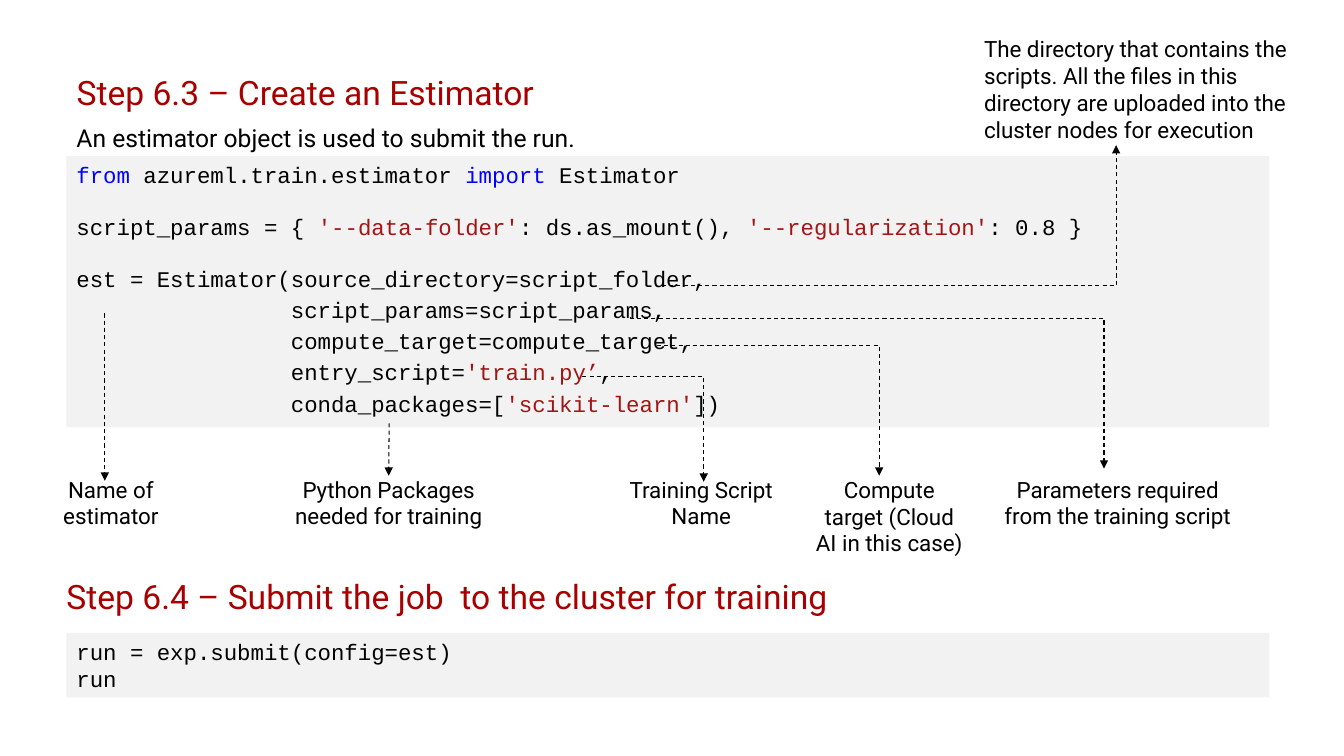
from lxml.etree import SubElement
from pptx import Presentation
from pptx.dml.color import RGBColor
from pptx.enum.dml import MSO_LINE
from pptx.enum.shapes import MSO_CONNECTOR as Link, MSO_SHAPE
from pptx.enum.text import MSO_ANCHOR, MSO_AUTO_SIZE, PP_ALIGN
from pptx.oxml.ns import qn
from pptx.util import Inches, Pt

COLORS = {"text": "000000", "heading": "A80000", "panel": "F2F2F2",
          "keyword": "0101FD", "string": "A31515"}
BODY, CODE = "Roboto", "Courier New"
INDENT = " " * 16

TITLE = "Step 6.3 – Create an Estimator"
INTRO = "An estimator object is used to submit the run."
SUBMIT_HEADING = "Step 6.4 – Submit the job  to the cluster for training"

# Each line: space before, space after, then (text, colour) spans
ESTIMATOR_CODE = [
    (0, 0, [("from ", "keyword"), ("azureml.train.estimator ", "text"),
            ("import", "keyword"), (" Estimator", "text")]),
    (18, 0, [("script_params = { ", "text"), ("'--data-folder'", "string"),
             (": ds.as_mount(), ", "text"), ("'--regularization'", "string"),
             (": 0.8 }", "text")]),
    (18, 3, [("est = Estimator(source_directory=script_folder,", "text")]),
    (0, 3, [(INDENT + "script_params=script_params,", "text")]),
    (0, 3, [(INDENT + "compute_target=compute_target,", "text")]),
    (0, 3, [(INDENT + "entry_script=", "text"), ("'train.py’", "string"), (",", "text")]),
    (0, 3, [(INDENT + "conda_packages=[", "text"), ("'scikit-learn'", "string"),
            ("])", "text")]),
]
SUBMIT_CODE = [
    (0, 0, [("run = exp.submit(config=est)", "text")]),
    (0, 0, [("run", "text")]),
]

# Label, its frame (left, top, width, height), alignment, arrow start, arrow end
CALLOUTS = [
    ("Name of estimator", (0.37, 4.72, 1.46, 0.54), PP_ALIGN.CENTER,
     (1.04, 3.11), (1.04, 4.77)),
    ("Python Packages needed for training", (2.88, 4.72, 1.95, 0.54), PP_ALIGN.CENTER,
     (3.86, 4.2), (3.86, 4.7)),
    ("Training Script Name", (5.98, 4.72, 1.95, 0.54), PP_ALIGN.CENTER,
     (5.78, 3.73), (6.98, 4.78)),
    ("Compute target (Cloud AI in this case)", (8.06, 4.72, 1.52, 0.81), PP_ALIGN.CENTER,
     (6.52, 3.42), (8.72, 4.72)),
    ("Parameters required from the training script", (9.95, 4.72, 2.27, 0.54),
     PP_ALIGN.CENTER, (6.25, 3.15), (10.95, 4.65)),
    ("The directory that contains the scripts. All the files in this directory are "
     "uploaded into the cluster nodes for execution", (9.76, 0.35, 3.04, 1.08),
     PP_ALIGN.LEFT, (6.57, 2.84), (11.07, 1.44)),
]


def color(name):
    return RGBColor.from_string(COLORS[name])


def inches(values):
    return [Inches(value) for value in values]


def write_text(box, text, size, tint="text", align=PP_ALIGN.LEFT, inset=0, spacing=1.0):
    frame = box.text_frame
    frame.word_wrap = True
    frame.auto_size = MSO_AUTO_SIZE.NONE
    frame.vertical_anchor = MSO_ANCHOR.TOP
    frame.margin_left = frame.margin_right = Inches(inset)
    frame.margin_top = frame.margin_bottom = Inches(inset / 2)
    frame.text = text
    para = frame.paragraphs[0]
    para.alignment = align
    para.line_spacing = spacing
    para.font.name, para.font.size = BODY, Pt(size)
    para.font.color.rgb = color(tint)


def add_code(page, place, lines):
    panel = page.shapes.add_shape(MSO_SHAPE.RECTANGLE, *inches(place))
    panel.shadow.inherit = False
    panel.fill.solid()
    panel.fill.fore_color.rgb = color("panel")
    panel.line.fill.background()
    frame = panel.text_frame
    frame.word_wrap = True
    frame.vertical_anchor = MSO_ANCHOR.TOP
    for number, (before, after, spans) in enumerate(lines):
        para = frame.add_paragraph() if number else frame.paragraphs[0]
        para.alignment = PP_ALIGN.LEFT
        para.space_before, para.space_after = Pt(before), Pt(after)
        para.font.name, para.font.size = CODE, Pt(16)
        for text, tint in spans:
            span = para.add_run()
            span.text = text
            span.font.color.rgb = color(tint)


def add_elbow(page, start, end):
    """Runs across first, then up or down: a bent connector turned a quarter."""
    (x1, y1), (x2, y2) = start, end
    mid_x, mid_y = (x1 + x2) / 2, (y1 + y2) / 2
    half_w, half_h = abs(y2 - y1) / 2, (x2 - x1) / 2
    down = y2 > y1
    if not down:
        half_h = -half_h
    arrow = page.shapes.add_connector(Link.ELBOW, *inches(
        (mid_x + half_w, mid_y - half_h, mid_x - half_w, mid_y + half_h)))
    props = arrow._element.spPr
    props.find(qn("a:xfrm")).set("rot", "16200000" if down else "5400000")
    geometry = props.find(qn("a:prstGeom"))
    guides = geometry.find(qn("a:avLst"))
    if guides is None:
        guides = SubElement(geometry, qn("a:avLst"))
    SubElement(guides, qn("a:gd"), name="adj1", fmla="val 400")
    return arrow


def add_callout(page, text, place, align, start, end):
    label = page.shapes.add_textbox(*inches(place))
    write_text(label, text, 16, align=align)
    if start[0] == end[0]:
        arrow = page.shapes.add_connector(Link.STRAIGHT, *inches(start + end))
        left, top, width, _ = place
        if abs(left + width / 2 - end[0]) < 0.03:
            arrow.end_connect(label, 0)
    else:
        arrow = add_elbow(page, start, end)
    arrow.line.color.rgb = color("text")
    arrow.line.width = Pt(0.75)
    arrow.line.dash_style = MSO_LINE.DASH
    SubElement(arrow.line._get_or_add_ln(), qn("a:tailEnd"), type="triangle")
    SubElement(arrow._element.spPr, qn("a:effectLst"))


def main():
    deck = Presentation()
    deck.slide_width, deck.slide_height = Inches(13.33), Inches(7.5)
    page = deck.slides.add_slide(deck.slide_layouts[5])

    title = page.shapes.title
    title.left, title.top, title.width, title.height = inches((0.76, 0.76, 11.46, 0.36))
    write_text(title, TITLE, 24, "heading", spacing=0.9)
    intro = page.shapes.add_textbox(*inches((0.66, 1.17, 5.18, 0.4)))
    write_text(intro, INTRO, 17.6, inset=0.1)

    add_code(page, (0.66, 1.55, 11.93, 2.69), ESTIMATOR_CODE)
    for callout in CALLOUTS:
        add_callout(page, *callout)

    heading = page.shapes.add_textbox(*inches((0.66, 5.76, 11.93, 0.36)))
    write_text(heading, SUBMIT_HEADING, 24, "heading", spacing=0.9)
    add_code(page, (0.66, 6.28, 11.93, 0.64), SUBMIT_CODE)
    deck.save("out.pptx")


if __name__ == "__main__":
    main()
